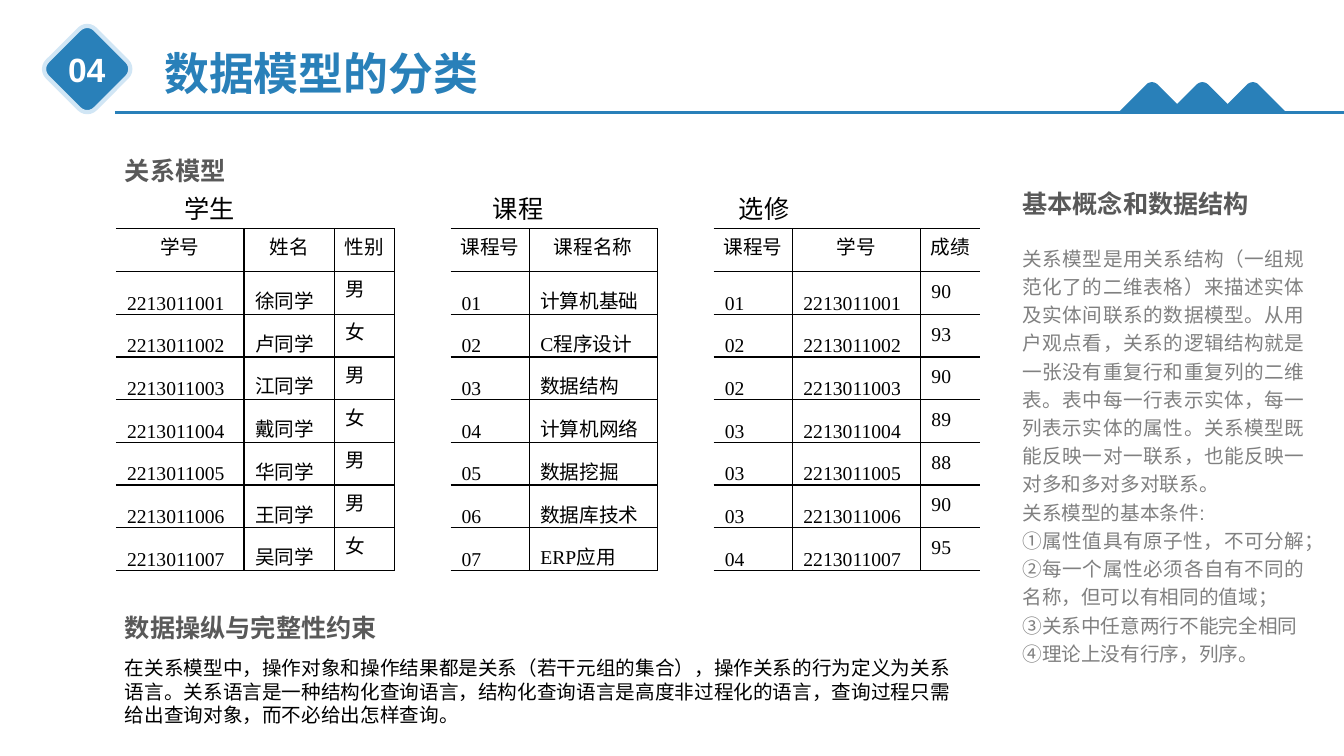
from math import cos, pi, sin

from lxml.etree import SubElement
from pptx import Presentation
from pptx.dml.color import RGBColor
from pptx.enum.shapes import MSO_CONNECTOR, MSO_SHAPE
from pptx.enum.text import MSO_ANCHOR, MSO_AUTO_SIZE, PP_ALIGN
from pptx.oxml.ns import qn
from pptx.util import Inches, Pt

BLUE, DARK, GREY, BLACK, WHITE, PALE = "2980B9", "595959", "808080", "000000", "FFFFFF", "D1E6F5"
NAMES = ["徐同学", "卢同学", "江同学", "戴同学", "华同学", "王同学", "吴同学"]
TOPICS = ["计算机基础", "C程序设计", "数据结构", "计算机网络", "数据挖掘", "数据库技术", "ERP应用"]
IDS = [f"221301100{n}" for n in range(1, 8)]
CODES = [f"0{n}" for n in range(1, 8)]
TABLES = [
    [("学号", 1.27, IDS), ("姓名", 0.9, NAMES), ("性别", 0.59, list("男女男女男男女"))],
    [("课程号", 0.78, CODES), ("课程名称", 1.27, TOPICS)],
    [("课程号", 0.78, ["01", "02", "02", "03", "03", "03", "04"]), ("学号", 1.27, IDS),
     ("成绩", 0.59, ["90", "93", "90", "89", "88", "90", "95"])],
]
GAP = 0.56
HEADS = [
    ("关系模型", (1.14, 1.43, 2.43, 0.43)),
    ("基本概念和数据结构", (10.04, 1.76, 3, 0.79)),
    ("数据操纵与完整性约束", (1.14, 5.97, 8.44, 0.46)),
]
THEORY = [
    "关系模型是用关系结构（一组规范化了的二维表格）来描述实体及实体间联系的数据模型。从用户观点看，"
    "关系的逻辑结构就是一张没有重复行和重复列的二维表。表中每一行表示实体，每一列表示实体的属性。"
    "关系模型既能反映一对一联系，也能反映一对多和多对多对联系。",
    "关系模型的基本条件:",
    "①属性值具有原子性，不可分解；",
    "②每一个属性必须各自有不同的名称，但可以有相同的值域；",
    "③关系中任意两行不能完全相同",
    "④理论上没有行序，列序。",
]
USAGE = ("在关系模型中，操作对象和操作结果都是关系（若干元组的集合），操作关系的行为定义为关系语言。"
         "关系语言是一种结构化查询语言，结构化查询语言是高度非过程化的语言，"
         "查询过程只需给出查询对象，而不必给出怎样查询。")


def tint(code):
    return RGBColor.from_string(code)


def apply(item, values):
    for key, value in values.items():
        setattr(item, key, value)


class Deck:
    """Holds the style and the current slide."""

    def __init__(self):
        self.file = Presentation()
        apply(self.file, {"slide_width": Inches(13.33), "slide_height": Inches(7.5)})
        self.slide = self.file.slides.add_slide(self.file.slide_layouts[1])
        self.shapes = self.slide.shapes

    def put(self, frame, lines, size, color, bold=False, font="Arial", **para):
        for i, line in enumerate(lines):
            part = frame.paragraphs[0] if i == 0 else frame.add_paragraph()
            apply(part, para)
            run = part.add_run()
            run.text = line
            apply(run.font, {"size": Pt(size), "bold": bold, "name": font})
            run.font.color.rgb = tint(color)

    def fit(self, shape, box, wrap=True):
        apply(shape, dict(zip(("left", "top", "width", "height"), map(Inches, box))))
        apply(shape.text_frame, {"word_wrap": wrap, "vertical_anchor": MSO_ANCHOR.TOP,
                                 "auto_size": MSO_AUTO_SIZE.SHAPE_TO_FIT_TEXT})
        return shape.text_frame

    def text(self, box, line, size, color, wrap=True, **form):
        shape = self.shapes.add_textbox(0, 0, 0, 0)
        frame = self.fit(shape, box, wrap)
        self.put(frame, [line], size, color, **form)
        return frame

    def title(self, box, line):
        frame = self.fit(self.shapes.title, box, False)
        self.put(frame, [line], 32, BLUE, True, alignment=PP_ALIGN.LEFT)

    def body(self, box, lines):
        frame = self.fit(self.slide.placeholders[1], box)
        self.put(frame, lines, 14, GREY, alignment=PP_ALIGN.JUSTIFY,
                 line_spacing=1.2, space_before=Pt(0))
        for part in frame.paragraphs:
            props = part._p.get_or_add_pPr()
            props.set("marL", "0")
            props.set("indent", "0")
            SubElement(props, qn("a:buNone"))

    def tabs(self, box, line, stops):
        frame = self.text(box, line, 18, BLACK)
        group = SubElement(frame.paragraphs[0]._p.get_or_add_pPr(), qn("a:tabLst"))
        for stop in stops:
            SubElement(group, qn("a:tab"), pos=str(Inches(stop)), algn="l")

    def badge(self, box):
        shape = self.shapes.add_shape(MSO_SHAPE.ROUNDED_RECTANGLE, *map(Inches, box))
        self.paint(shape)
        shape.line.color.rgb = tint(PALE)
        shape.line.width = Pt(3)

    def paint(self, shape):
        shape.rotation = 45
        shape.shadow.inherit = False
        shape.fill.solid()
        shape.fill.fore_color.rgb = tint(BLUE)

    def peak(self, left, top, side, bend):
        arc = [pi + pi / 2 * i / 8 for i in range(9)]
        spots = [(bend + bend * cos(a), bend + bend * sin(a)) for a in arc]
        spots += [(side, 0), (0, side)]
        dots = [(Inches(left + x), Inches(top + y)) for x, y in spots]
        form = self.shapes.build_freeform(*dots[0])
        form.add_line_segments(dots[1:], close=True)
        shape = form.convert_to_shape()
        self.paint(shape)
        shape.line.fill.background()

    def rule(self, *ends):
        line = self.shapes.add_connector(MSO_CONNECTOR.STRAIGHT, *map(Inches, ends))
        line.line.color.rgb = tint(BLUE)
        line.line.width = Pt(2.25)
        SubElement(line._element.spPr, qn("a:effectLst"))

    def edge(self, cell, sides):
        props = cell._tc.get_or_add_tcPr()
        for side in sides:
            line = SubElement(props, qn(f"a:ln{side}"), w=str(Pt(1)))
            fill = SubElement(line, qn("a:solidFill"))
            SubElement(fill, qn("a:srgbClr"), val=BLACK)
        cell.fill.background()

    def cell(self, cell, line, head, last):
        apply(cell, {"margin_left": Inches(0.07), "margin_right": Inches(0.07),
                     "margin_top": 0, "margin_bottom": 0,
                     "vertical_anchor": MSO_ANCHOR.MIDDLE if head or last else MSO_ANCHOR.BOTTOM})
        self.put(cell.text_frame, [line], 14, BLACK,
                 font="Arial" if head else "Times New Roman",
                 alignment=PP_ALIGN.CENTER if head else PP_ALIGN.JUSTIFY,
                 line_spacing=Pt(14), space_before=Pt(1), space_after=Pt(1))
        if not head:
            cell.text_frame.paragraphs[0]._p.get_or_add_pPr().set("marL", str(Inches(0.04)))

    def table(self, box, groups):
        rows = len(groups[0][0][2]) + 1
        count = sum(map(len, groups)) + len(groups) - 1
        grid = self.shapes.add_table(rows, count, *map(Inches, box)).table
        apply(grid, {"first_row": False, "horz_banding": False})
        grid._tbl.tblPr.find(qn("a:tableStyleId")).text = "{2D5ABB26-0587-4C30-8999-92F81FD0307C}"
        col = 0
        for group in groups:
            if col:
                grid.columns[col].width = Inches(GAP)
                for row in range(rows):
                    grid.cell(row, col).fill.background()
                grid.cell(0, col).merge(grid.cell(rows - 1, col))
                col += 1
            for i, (head, width, values) in enumerate(group):
                grid.columns[col].width = Inches(width)
                final = i == len(group) - 1
                sides = ("L" if i else "") + ("" if final else "R") + "TB"
                for row, line in enumerate([head] + values):
                    cell = grid.cell(row, col)
                    self.cell(cell, line, row == 0, final and len(group) == 3)
                    self.edge(cell, sides)
                col += 1


def main():
    deck = Deck()
    deck.badge((0.53, 0.35, 0.67, 0.67))
    deck.rule(1.14, 1.12, 13.33, 1.12)
    deck.title((1.53, 0.4, 3.34, 0.64), "数据模型的分类")
    deck.text((0.57, 0.44, 0.58, 0.5), "04", 24, WHITE, False, bold=True, alignment=PP_ALIGN.CENTER)
    for i in range(3):
        deck.peak(11.19 + 0.5 * i, 0.88, 0.47, 0.08)
    deck.table((1.15, 2.27, 8.58, 3.39), TABLES)
    deck.tabs((1.73, 1.87, 6.66, 0.4), "学生\t课程\t选修", (3.06, 5.5))
    deck.body((10.04, 2.35, 3, 4.34), THEORY)
    deck.text((1.14, 6.46, 8.44, 0.81), USAGE, 14, BLACK, font="Courier New")
    for line, box in HEADS:
        deck.text(box, line, 18, DARK, bold=True, line_spacing=1.2)
    deck.file.save("out.pptx")


if __name__ == "__main__":
    main()
